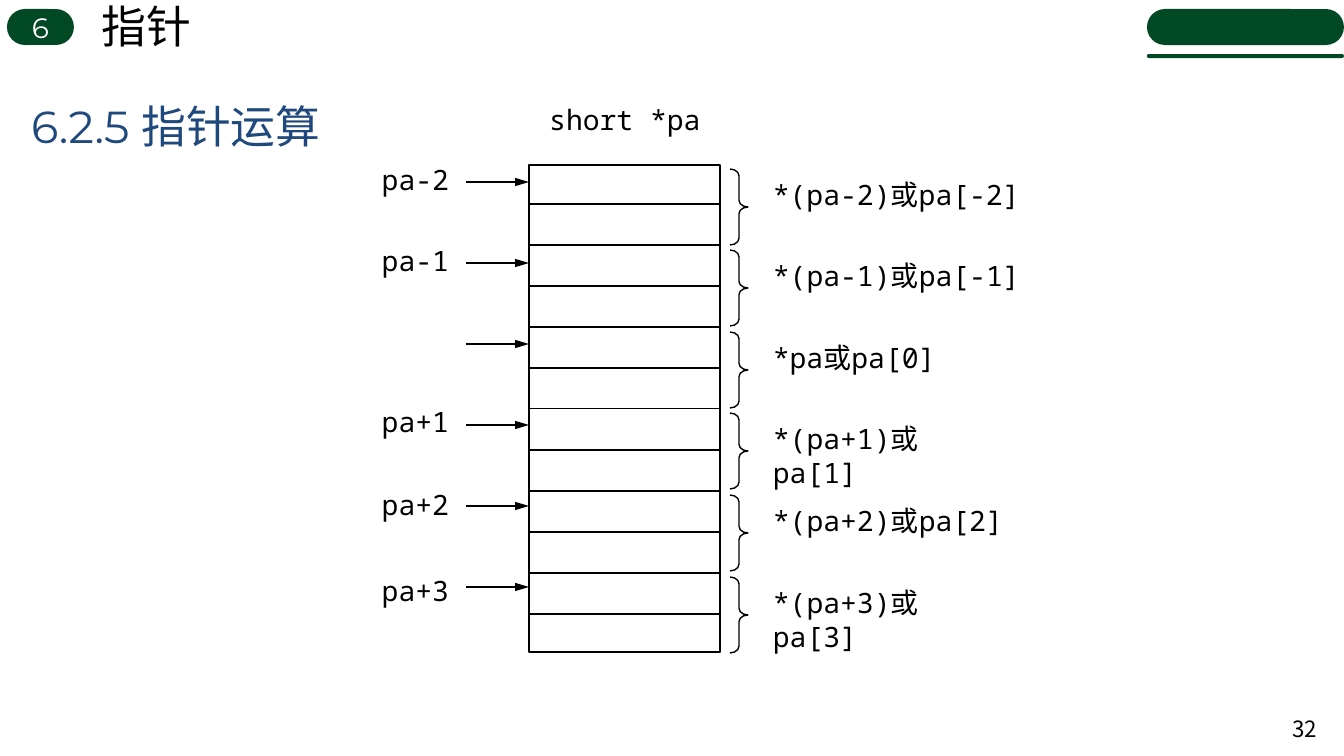
"""Build the slide on pointer arithmetic with a memory diagram."""
from dataclasses import dataclass

from lxml import etree
from pptx import Presentation
from pptx.dml.color import RGBColor
from pptx.enum.shapes import MSO_CONNECTOR, MSO_SHAPE
from pptx.enum.text import MSO_ANCHOR, MSO_AUTO_SIZE, PP_ALIGN
from pptx.oxml.ns import qn
from pptx.util import Pt

PX = 12192000 / 1344
LEFT, CENTER, RIGHT = PP_ALIGN.LEFT, PP_ALIGN.CENTER, PP_ALIGN.RIGHT
TOP, MIDDLE = MSO_ANCHOR.TOP, MSO_ANCHOR.MIDDLE
FIXED = MSO_AUTO_SIZE.NONE
STRAIGHT = MSO_CONNECTOR.STRAIGHT
RECTANGLE, PILL, BRACE = MSO_SHAPE.RECTANGLE, MSO_SHAPE.ROUNDED_RECTANGLE, MSO_SHAPE.RIGHT_BRACE


@dataclass(frozen=True)
class Theme:
    """Colours, fonts and type sizes in points."""
    green: str = "014924"
    blue: str = "1F497D"
    black: str = "000000"
    white: str = "FFFFFF"
    heading: int = 32
    label: int = 20
    number: int = 16
    line: int = 1
    sans: str = "Montserrat"
    chinese: str = "Noto Sans CJK SC"
    mono: str = "Noto Sans Mono"


THEME = Theme()

MEMORY = (529, 165, 191, 487)
CELLS, CELL_PITCH, FIRST_DIVIDER = 12, 41, 204
ARROW_LEFT, FIRST_ARROW, ARROW_PITCH = 466, 182, 81
LABEL_RIGHT, VALUE_LEFT = 459, 763
ADDRESSES = [
    ("pa-2", 158, 91),
    ("pa-1", 239, 91),
    ("pa+1", 400, 129),
    ("pa+2", 483, 129),
    ("pa+3", 569, 129),
]
VALUES = [
    ("*(pa-2)或pa[-2]", 302, 44),
    ("*(pa-1)或pa[-1]", 271, 44),
    ("*pa或pa[0]", 209, 44),
    ("*(pa+1)或pa[1]", 243, 78),
    ("*(pa+2)或pa[2]", 251, 78),
    ("*(pa+3)或pa[3]", 243, 78),
]


def px(*lengths):
    """Turn whole pixels into EMU."""
    return [round(length * PX) for length in lengths]


def element_top(first, index):
    """Return the top of a short element, which spans two cells."""
    return first + 408 * index // 5


def write(shape, text, size=THEME.label, font=THEME.mono, color=THEME.black,
          align=LEFT, anchor=TOP, wrap=True, spacing=None):
    """Write one formatted paragraph into a shape."""
    frame = shape.text_frame
    frame.word_wrap = wrap
    frame.auto_size = FIXED
    frame.vertical_anchor = anchor
    para = frame.paragraphs[0]
    para.alignment = align
    para.line_spacing = spacing
    span = para.add_run()
    span.text = text
    span.font.size = Pt(size)
    span.font.name = font
    span.font.color.rgb = RGBColor.from_string(color)
    east_asian = etree.SubElement(span.font._element, qn("a:ea"))
    east_asian.set("typeface", THEME.chinese)


def add_label(page, bounds, text, **style):
    """Add a text box at pixel bounds."""
    write(page.shapes.add_textbox(*px(*bounds)), text, **style)


def add_box(page, kind, bounds, fill=None, line=None, adjustment=None):
    """Add a flat preset shape with optional fill and outline."""
    box = page.shapes.add_shape(kind, *px(*bounds))
    box.shadow.inherit = False
    if fill:
        box.fill.solid()
        box.fill.fore_color.rgb = RGBColor.from_string(fill)
    else:
        box.fill.background()
    if line:
        box.line.color.rgb = RGBColor.from_string(line)
        box.line.width = Pt(THEME.line)
    else:
        box.line.fill.background()
    if adjustment is not None:
        box.adjustments[0] = adjustment
    return box


def add_line(page, left, right, y, arrow=False):
    """Add a horizontal line, with an arrowhead if asked."""
    line = page.shapes.add_connector(STRAIGHT, *px(left, y, right, y))
    line.line.color.rgb = RGBColor.from_string(THEME.black)
    line.line.width = Pt(THEME.line)
    if arrow:
        head = etree.SubElement(line.line._get_or_add_ln(), qn("a:tailEnd"))
        for name, value in (("type", "triangle"), ("w", "med"), ("len", "lg")):
            head.set(name, value)
    etree.SubElement(line._element.spPr, qn("a:effectLst"))
    return line


def add_header(page):
    """Add the chapter badge, chapter name, corner bars and page number."""
    badge = add_box(page, PILL, (7, 9, 67, 36), fill=THEME.green, adjustment=0.5)
    write(badge, "6", font=THEME.sans, color=THEME.white, align=CENTER, anchor=MIDDLE)
    add_label(page, (92, -6, 111, 65), "指针", size=THEME.heading,
              font=THEME.chinese, wrap=False)
    for top, height in ((9, 36), (54, 4)):
        add_box(page, PILL, (1147, top, 197, height), fill=THEME.green, adjustment=0.5)
    add_label(page, (1278, 709, 49, 40), "32", size=THEME.number,
              font=THEME.chinese, align=RIGHT, anchor=MIDDLE)


def add_title(page, text):
    """Place and format the title placeholder."""
    title = page.shapes.title
    title.left, title.top, title.width, title.height = px(21, 85, 768, 88)
    write(title, text, size=THEME.heading, font=THEME.sans, color=THEME.blue,
          anchor=MIDDLE, spacing=0.9)


def add_memory(page):
    """Add the memory block and the lines between its cells."""
    left, _, width, _ = MEMORY
    memory = add_box(page, RECTANGLE, MEMORY, fill=THEME.white, line=THEME.black)
    for index in range(CELLS - 1):
        divider = add_line(page, left, left + width, FIRST_DIVIDER + index * CELL_PITCH)
        if index == CELLS // 2 - 1:
            divider.begin_connect(memory, 1)
            divider.end_connect(memory, 3)


def add_pointers(page):
    """Add the addresses, arrows, braces and values around the memory."""
    add_label(page, (539, 98, 172, 43), "short *pa", align=CENTER)
    for text, top, width in ADDRESSES:
        add_label(page, (LABEL_RIGHT - width, top, width, 43), text, align=RIGHT)
    for index, (text, width, height) in enumerate(VALUES):
        add_line(page, ARROW_LEFT, MEMORY[0], FIRST_ARROW + index * ARROW_PITCH, arrow=True)
        add_box(page, BRACE, (730, element_top(169, index), 18, 76),
                line=THEME.black, adjustment=0.375)
        add_label(page, (VALUE_LEFT, element_top(173, index), width, height), text)


def main():
    """Build and save the deck."""
    deck = Presentation()
    deck.slide_width, deck.slide_height = px(1344, 756)
    page = deck.slides.add_slide(deck.slide_layouts[5])
    add_header(page)
    add_title(page, "6.2.5 指针运算")
    add_memory(page)
    add_pointers(page)
    deck.save("out.pptx")


if __name__ == "__main__":
    main()
